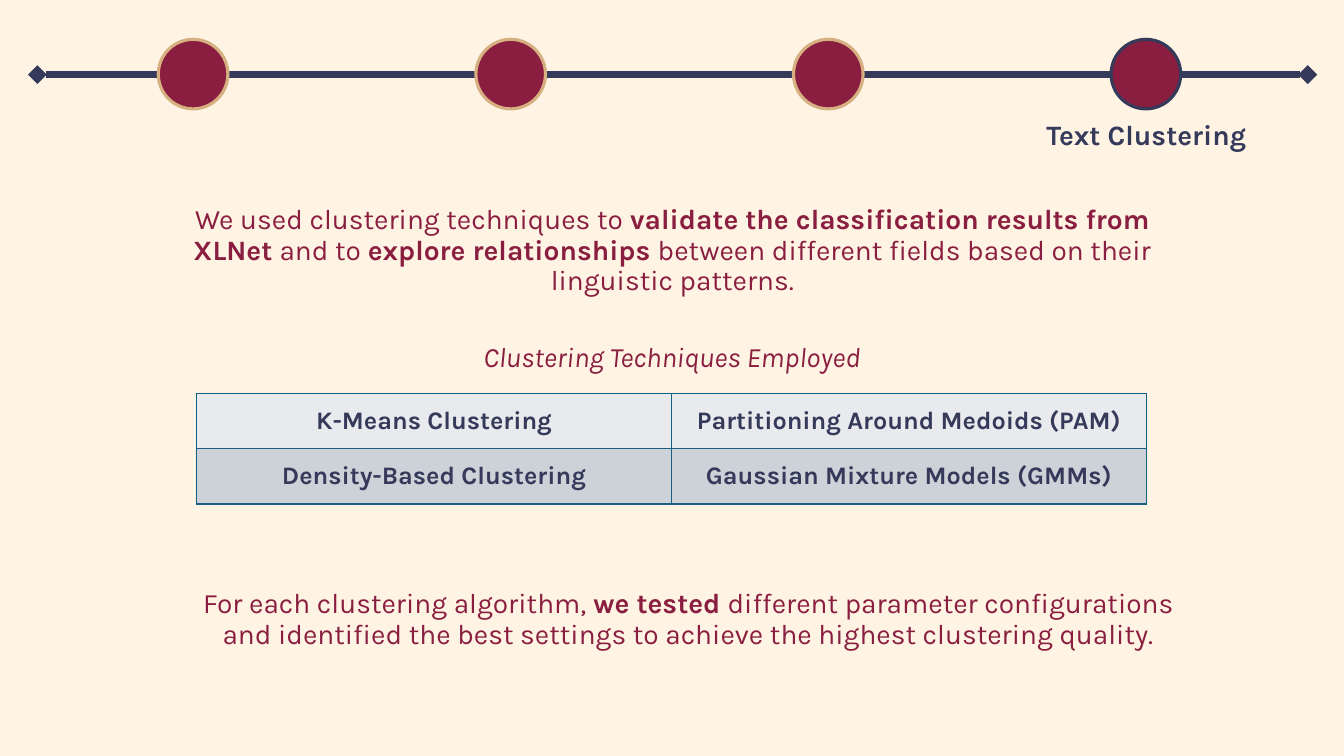
from dataclasses import dataclass

from lxml import etree
from pptx import Presentation
from pptx import util as u
from pptx.dml.color import RGBColor
from pptx.enum import shapes, text
from pptx.oxml import ns

WIDTH, HEIGHT = u.Inches(13.33), u.Inches(7.5)
FONT = "Karla"
COLOURS = {
    "cream": "FFF3E3", "navy": "353A5A", "wine": "8A1E40", "gold": "D7B082",
    "border": "156082", "light row": "E8EAED", "dark row": "CCD2D8",
}


@dataclass(frozen=True)
class Frame:
    """A rectangle in percent of the slide's width and height."""
    left: float
    top: float
    width: float
    height: float

    def lengths(self) -> tuple[int, int, int, int]:
        return (across(self.left), down(self.top),
                across(self.width), down(self.height))


@dataclass(frozen=True)
class Passage:
    """Centred text; the pieces between asterisks are bold."""
    frame: Frame
    words: str
    italic: bool = False


TIMELINE_START, TIMELINE_END, TIMELINE_Y = 2.78, 97.3, 9.87
STAGE_OUTLINES = ["gold", "gold", "gold", "navy"]
FIRST_STAGE = Frame(11.78, 5.2, 5.18, 9.2)
STAGE_STEP = 23.63
TITLE_FRAME = Frame(74.79, 14.53, 21.01, 6.93)
TABLE_FRAME = Frame(14.63, 52, 70.67, 14.67)
TECHNIQUES = [
    ["K-Means Clustering", "Partitioning Around Medoids (PAM)"],
    ["Density-Based Clustering", "Gaussian Mixture Models (GMMs)"],
]
PASSAGES = [
    Passage(Frame(11.25, 24.93, 77.57, 16.53),
            "We used clustering techniques to *validate the classification "
            "results from XLNet *and to *explore relationships *between "
            "different fields based on their linguistic patterns."),
    Passage(Frame(31.06, 42.8, 37.88, 9.2),
            "Clustering Techniques Employed", italic=True),
    Passage(Frame(12.45, 73.73, 77.57, 16.53),
            "For each clustering algorithm, *we tested *different parameter "
            "configurations and identified the best settings to achieve the "
            "highest clustering quality."),
]


def across(percent: float) -> int:
    return round(WIDTH * percent / 100)


def down(percent: float) -> int:
    return round(HEIGHT * percent / 100)


def colour(name: str) -> RGBColor:
    return RGBColor.from_string(COLOURS[name])


def format_paragraph(para, size: float, ink: str) -> None:
    para.alignment = text.PP_ALIGN.CENTER
    para.font.name = FONT
    para.font.size = u.Pt(size)
    para.font.color.rgb = colour(ink)


def prepare_frame(text_frame) -> None:
    text_frame.word_wrap = True
    text_frame.auto_size = text.MSO_AUTO_SIZE.NONE
    text_frame.vertical_anchor = text.MSO_ANCHOR.MIDDLE
    text_frame.paragraphs[0].line_spacing = 0.9


def add_timeline(page) -> None:
    line = page.shapes.add_connector(
        shapes.MSO_CONNECTOR.STRAIGHT, across(TIMELINE_START),
        down(TIMELINE_Y), across(TIMELINE_END), down(TIMELINE_Y))
    line.line.color.rgb = colour("navy")
    line.line.width = u.Pt(4.5)
    properties = line._element.spPr
    outline = properties.find(ns.qn("a:ln"))
    for end in ("a:headEnd", "a:tailEnd"):
        etree.SubElement(outline, ns.qn(end), type="diamond")
    etree.SubElement(properties, ns.qn("a:effectLst"))


def add_stage(page, index: int, outline: str) -> None:
    left, top, width, height = FIRST_STAGE.lengths()
    stage = page.shapes.add_shape(
        shapes.MSO_SHAPE.FLOWCHART_CONNECTOR,
        left + across(STAGE_STEP * index), top, width, height)
    stage.shadow.inherit = False
    stage.fill.solid()
    stage.fill.fore_color.rgb = colour("wine")
    stage.line.color.rgb = colour(outline)
    stage.line.width = u.Pt(2.25)


def format_title(page) -> None:
    title = page.shapes.title
    title.left, title.top, title.width, title.height = TITLE_FRAME.lengths()
    title.text_frame.text = "Text Clustering"
    prepare_frame(title.text_frame)
    para = title.text_frame.paragraphs[0]
    format_paragraph(para, 20, "navy")
    para.font.bold = True


def add_passage(page, passage: Passage) -> None:
    box = page.shapes.add_textbox(*passage.frame.lengths())
    prepare_frame(box.text_frame)
    para = box.text_frame.paragraphs[0]
    format_paragraph(para, 20, "wine")
    para.font.italic = passage.italic
    for index, words in enumerate(passage.words.split("*")):
        span = para.add_run()
        span.text = words
        span.font.bold = index % 2 == 1


def add_borders(cell) -> None:
    properties = cell._tc.get_or_add_tcPr()
    for index, side in enumerate(("a:lnL", "a:lnR", "a:lnT", "a:lnB")):
        border = etree.Element(ns.qn(side), w=str(u.Pt(1)))
        fill = etree.SubElement(border, ns.qn("a:solidFill"))
        etree.SubElement(fill, ns.qn("a:srgbClr"), val=COLOURS["border"])
        properties.insert(index, border)


def add_techniques(page) -> None:
    table = page.shapes.add_table(
        len(TECHNIQUES), len(TECHNIQUES[0]), *TABLE_FRAME.lengths()).table
    table.first_row = table.horz_banding = False
    for row, names in enumerate(TECHNIQUES):
        for column, name in enumerate(names):
            cell = table.cell(row, column)
            cell.text = name
            cell.vertical_anchor = text.MSO_ANCHOR.MIDDLE
            cell.fill.solid()
            cell.fill.fore_color.rgb = colour(("light row", "dark row")[row])
            add_borders(cell)
            para = cell.text_frame.paragraphs[0]
            format_paragraph(para, 18, "navy")
            para.font.bold = True


def main() -> None:
    deck = Presentation()
    deck.slide_width, deck.slide_height = WIDTH, HEIGHT
    page = deck.slides.add_slide(deck.slide_layouts.get_by_name("Title Only"))
    page.background.fill.solid()
    page.background.fill.fore_color.rgb = colour("cream")

    # Progress line with the current stage named below it
    add_timeline(page)
    for index, outline in enumerate(STAGE_OUTLINES):
        add_stage(page, index, outline)
    format_title(page)

    # Explanations and the table of techniques
    for passage in PASSAGES:
        add_passage(page, passage)
    add_techniques(page)
    deck.save("out.pptx")


if __name__ == "__main__":
    main()
